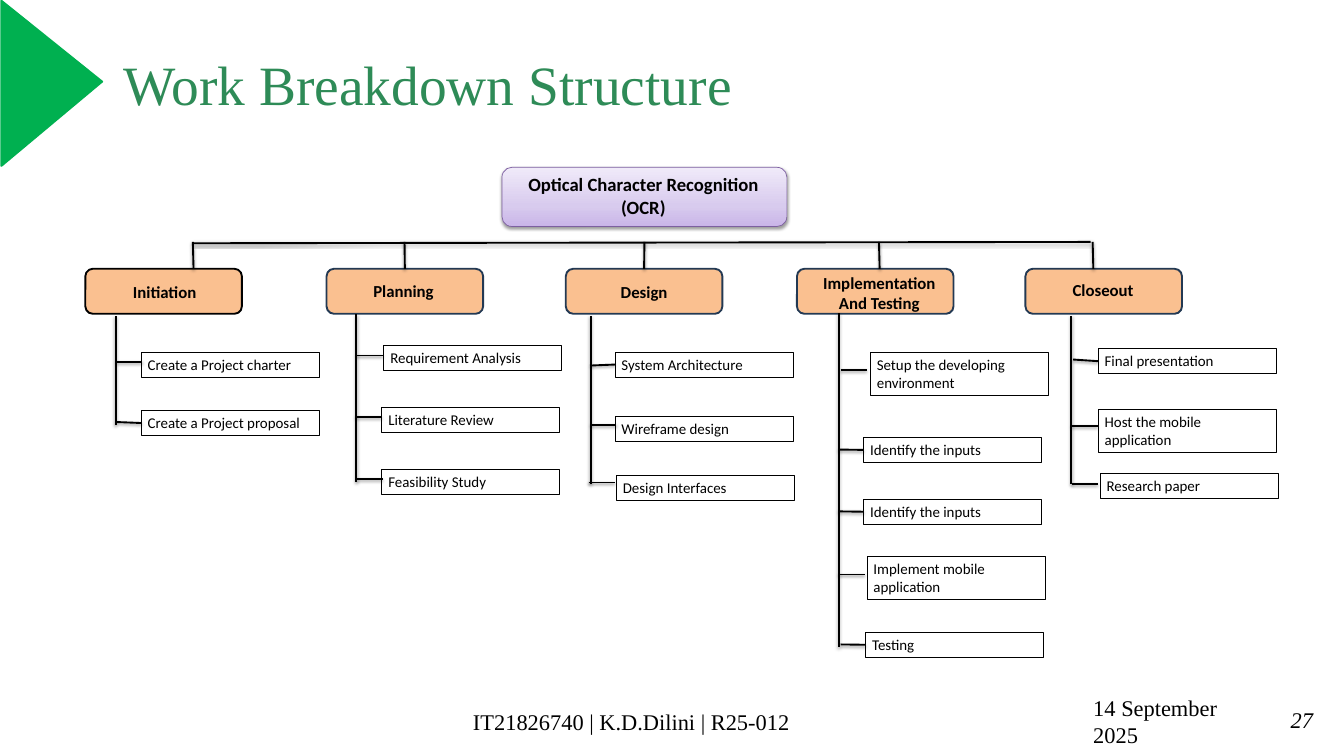
from lxml.etree import SubElement
from pptx import Presentation
from pptx.dml.color import RGBColor
from pptx.enum.shapes import MSO_CONNECTOR, MSO_SHAPE
from pptx.enum.text import MSO_ANCHOR, MSO_AUTO_SIZE, PP_ALIGN
from pptx.oxml import parse_xml
from pptx.oxml.ns import nsdecls, qn
from pptx.util import Pt

PX = 9144  # 100 px to the inch
BLACK = "000000"
GREEN = "00B050"
NAVY = "233953"
TOP, LEFT = 0, 1  # connection sites
SNAP = 3

SERIF = {"name": "Times New Roman", "size": Pt(24)}
SERIF_ITALIC = {**SERIF, "italic": True}
TITLE = {**SERIF, "size": Pt(59.4)}
ROOT = {"name": "Calibri", "size": Pt(20), "bold": True}
PHASE = {**ROOT, "size": Pt(18)}
DELIVERABLE = {"name": "Calibri", "size": Pt(16)}

PHASE_SIZE = (233, 67)
DELIVERABLE_WIDTH = 265
ONE_LINE, TWO_LINES = 37, 64
BRANCH_LENGTH = 39

# Offsets are from the top left corner of the phase box.
# label: left, top, width, height; trunk: x, top, bottom
# deliverables: text, left, top, height, branch x, branch y
PHASES = [
    {"name": "Initiation", "left": 127, "line": BLACK, "label": (2, 15, 232, 40),
     "stem": 161, "trunk": (45, 70, 233), "deliverables": [
         ("Create a Project charter", 83, 124, ONE_LINE, 46, 139),
         ("Create a Project proposal", 83, 211, ONE_LINE, 46, 228)]},
    {"name": "Planning", "left": 486, "line": NAVY, "label": (2, 13, 225, 40),
     "stem": 117, "trunk": (44, 68, 318), "deliverables": [
         ("Requirement Analysis", 85, 114, ONE_LINE, 45, 129),
         ("Literature Review", 82, 206, ONE_LINE, 43, 221),
         ("Feasibility Study", 82, 298, ONE_LINE, 45, 313)]},
    {"name": "Design", "left": 842, "line": NAVY, "label": (4, 15, 225, 40),
     "stem": 118, "trunk": (37, 70, 320), "deliverables": [
         ("System Architecture", 73, 124, ONE_LINE, 36, 144),
         ("Wireframe design", 73, 220, ONE_LINE, 36, 233),
         ("Design Interfaces", 75, 308, ONE_LINE, 34, 318)]},
    {"name": "Implementation And Testing", "left": 1186, "line": NAVY,
     "label": (10, 1, 225, 71), "stem": 123, "trunk": (62, 66, 563), "deliverables": [
         ("Setup the developing environment", 109, 124, TWO_LINES, 65, 151),
         ("Identify the inputs", 99, 251, ONE_LINE, 62, 269),
         ("Identify the inputs", 99, 343, ONE_LINE, 62, 361),
         ("Implement mobile application", 104, 428, TWO_LINES, 62, 455),
         ("Testing", 102, 541, ONE_LINE, 65, 559)]},
    {"name": "Closeout", "left": 1526, "line": NAVY, "label": (1, 12, 229, 40),
     "stem": 101, "trunk": (68, 70, 320), "deliverables": [
         ("Final presentation", 108, 119, ONE_LINE, 71, 135),
         ("Host the mobile application", 108, 209, TWO_LINES, 69, 234),
         ("Research paper", 111, 305, ONE_LINE, 69, 320)]},
]


def emu(*lengths):
    return [length * PX for length in lengths]


def rgb(value):
    return RGBColor.from_string(value)


def write(shape, text, font_format, color=BLACK, align=PP_ALIGN.LEFT,
          anchor=MSO_ANCHOR.TOP, grow=True):
    frame = shape.text_frame
    frame_format = {
        "word_wrap": True,
        "vertical_anchor": anchor,
        "auto_size": MSO_AUTO_SIZE.SHAPE_TO_FIT_TEXT if grow else MSO_AUTO_SIZE.NONE,
    }
    for name, value in frame_format.items():
        setattr(frame, name, value)
    paragraph = frame.paragraphs[0]
    paragraph.alignment = align
    run = paragraph.add_run()
    run.text = text
    for name, value in font_format.items():
        setattr(run.font, name, value)
    run.font.color.rgb = rgb(color)


def add_text(slide, box, text, font_format, **options):
    write(slide.shapes.add_textbox(*emu(*box)), text, font_format, **options)


def add_box(slide, kind, box, line, width, fill=None):
    shape = slide.shapes.add_shape(kind, *emu(*box))
    shape.shadow.inherit = False
    if fill:
        shape.fill.solid()
        shape.fill.fore_color.rgb = rgb(fill)
    else:
        shape.fill.background()
    shape.line.color.rgb = rgb(line)
    shape.line.width = Pt(width)
    return shape


def add_soft_shadow(shape):
    properties = shape._element.spPr
    effects = properties.find(qn("a:effectLst"))
    if effects is None:
        effects = SubElement(properties, qn("a:effectLst"))
    effects.append(parse_xml(
        f'<a:outerShdw {nsdecls("a")} blurRad="40000" dist="20000" dir="5400000" '
        'rotWithShape="0"><a:srgbClr val="000000"><a:alpha val="38000"/></a:srgbClr>'
        '</a:outerShdw>'))


def fill_gradient(shape, stops):
    """Replace the fill with a gradient that runs from bottom to top."""
    shape.fill.background()
    properties = shape._element.spPr
    stop_list = "".join(f'<a:gs pos="{percent * 1000}"><a:srgbClr val="{color}"/></a:gs>'
                        for percent, color in stops)
    gradient = parse_xml(f'<a:gradFill {nsdecls("a")} rotWithShape="1"><a:gsLst>{stop_list}'
                         '</a:gsLst><a:lin ang="16200000" scaled="0"/></a:gradFill>')
    properties.replace(properties.find(qn("a:noFill")), gradient)


def add_line(slide, start, end):
    line = slide.shapes.add_connector(MSO_CONNECTOR.STRAIGHT, *emu(*start, *end))
    line.line.color.rgb = rgb(BLACK)
    line.line.width = Pt(2)
    add_soft_shadow(line)
    return line


def join_end(line, end, shape, site, middle):
    """Join the line to the shape if it ends at the middle of that side."""
    if all(abs(a - b) <= SNAP for a, b in zip(end, middle)):
        line.end_connect(shape, site)


def add_header(slide, left, top):
    marker = add_box(slide, MSO_SHAPE.ISOSCELES_TRIANGLE,
                     (left - 46, top + 49, 246, 150), GREEN, 2, GREEN)
    marker.rotation = 90
    marker.adjustments[0] = 0.49
    add_text(slide, (left + 163, top + 62, 947, 125), "Work Breakdown Structure", TITLE,
             color="2E8B57", align=PP_ALIGN.CENTER, anchor=MSO_ANCHOR.MIDDLE, grow=False)


def add_root(slide, left, top):
    root = add_box(slide, MSO_SHAPE.ROUNDED_RECTANGLE, (left, top, 424, 88), "7D60A0", 0.75)
    fill_gradient(root, [(0, "C9B5E8"), (35, "D8CBEE"), (100, "F0EAF9")])
    add_soft_shadow(root)
    add_text(slide, (left - 3, top + 4, 427, 77), "Optical Character Recognition (OCR)",
             ROOT, align=PP_ALIGN.CENTER)


def add_phase(slide, phase, left, top):
    width, height = PHASE_SIZE
    box = add_box(slide, MSO_SHAPE.ROUNDED_RECTANGLE, (left, top, width, height),
                  phase["line"], 2, "FAC090")
    label_left, label_top, *label_size = phase["label"]
    add_text(slide, (left + label_left, top + label_top, *label_size), phase["name"],
             PHASE, align=PP_ALIGN.CENTER)

    stem_end = (left + phase["stem"], top)
    stem = add_line(slide, (stem_end[0] - 1, top - 40), stem_end)
    join_end(stem, stem_end, box, TOP, (left + width / 2, top))

    trunk_x, trunk_top, trunk_bottom = phase["trunk"]
    add_line(slide, (left + trunk_x, top + trunk_top), (left + trunk_x, top + trunk_bottom))
    for deliverable in phase["deliverables"]:
        add_deliverable(slide, deliverable, left, top)


def add_deliverable(slide, deliverable, left, top):
    text, x, y, height, branch_x, branch_y = deliverable
    box = add_box(slide, MSO_SHAPE.RECTANGLE,
                  (left + x, top + y, DELIVERABLE_WIDTH, height), BLACK, 0.75)
    write(box, text, DELIVERABLE)
    end = (left + branch_x + BRANCH_LENGTH, top + branch_y)
    branch = add_line(slide, (left + branch_x, top + branch_y), end)
    join_end(branch, end, box, LEFT, (left + x, top + y + height / 2))


def add_footer(slide, left, top):
    add_text(slide, (left + 694, top + 4, 571, 50), "IT21826740 | K.D.Dilini | R25-012", SERIF)
    add_text(slide, (left + 1617, top, 251, 57), "14 September 2025", SERIF,
             anchor=MSO_ANCHOR.MIDDLE, grow=False)
    add_text(slide, (left + 1898, top + 5, 66, 41), "27", SERIF_ITALIC,
             align=PP_ALIGN.RIGHT, anchor=MSO_ANCHOR.MIDDLE, grow=False)


def main():
    presentation = Presentation()
    presentation.slide_width, presentation.slide_height = emu(2000, 1125)
    slide = presentation.slides.add_slide(presentation.slide_layouts[6])
    add_header(slide, 0, 0)
    add_root(slide, 747, 249)
    add_line(slide, (289, 362), (1623, 360))
    for phase in PHASES:
        add_phase(slide, phase, phase["left"], 400)
    add_footer(slide, 0, 1045)
    presentation.save("out.pptx")


if __name__ == "__main__":
    main()
